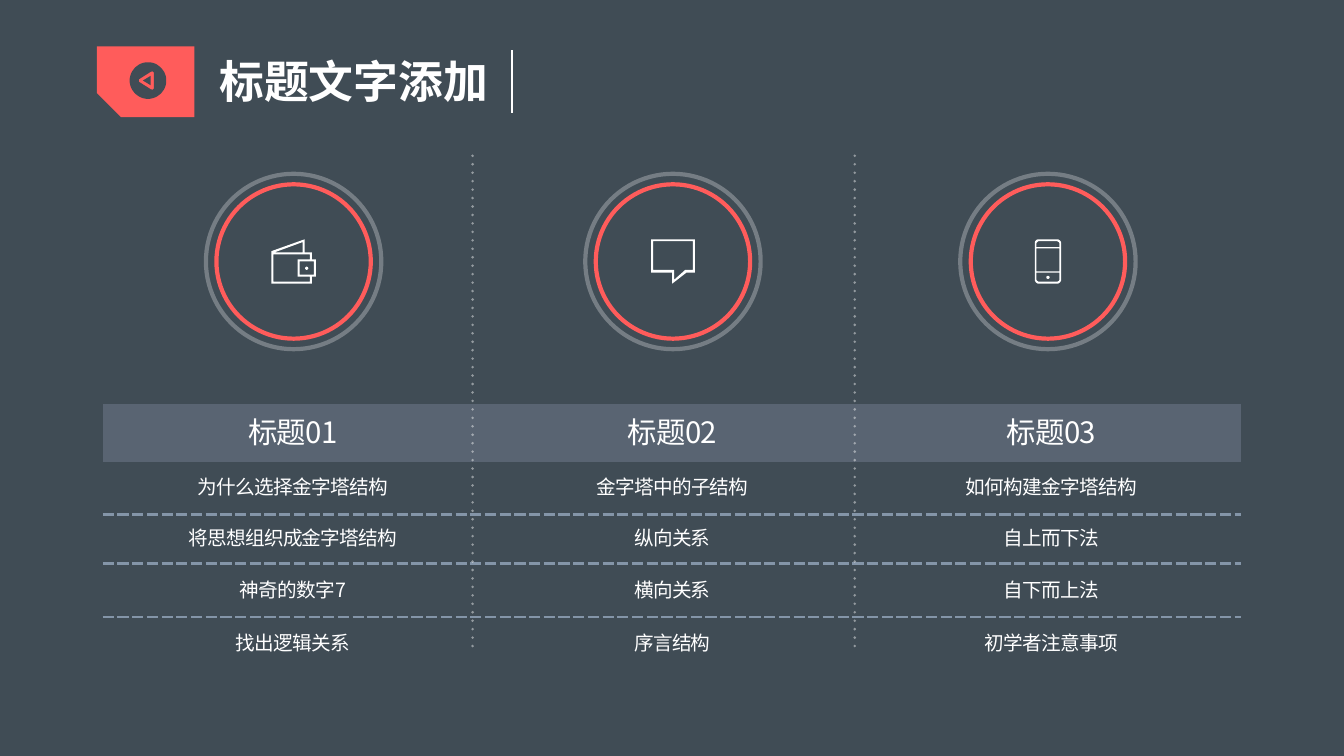
from dataclasses import dataclass
from math import cos, pi, sin

from lxml import etree
from pptx import Presentation
from pptx import util as u
from pptx.dml import color
from pptx.enum import shapes, text
from pptx.oxml import ns


@dataclass(frozen=True)
class Theme:
    ground: str = "404C55"
    accent: str = "FF5C5B"
    band: str = "596472"
    rule: str = "8495A8"
    ink: str = "FFFFFF"
    title_size: int = 32
    head_size: int = 21
    body_size: int = 14
    latin: str = "Arial"
    east: str = "Noto Sans CJK SC"


THEME = Theme()
UNIT = u.Cm(0.01)  # icon coordinates are hundredths of a centimetre

COLUMNS = [
    ("标题01", "为什么选择金字塔结构", "将思想组织成金字塔结构", "神奇的数字7", "找出逻辑关系"),
    ("标题02", "金字塔中的子结构", "纵向关系", "横向关系", "序言结构"),
    ("标题03", "如何构建金字塔结构", "自上而下法", "自下而上法", "初学者注意事项"),
]


# Basic helpers
def rgb(value):
    return color.RGBColor.from_string(value)


def add_xml(parent, tag, **attributes):
    return etree.SubElement(parent, ns.qn(tag), attributes)


def set_alpha(line, percent):
    tint = line.fill._xPr.find(".//" + ns.qn("a:srgbClr"))
    add_xml(tint, "a:alpha", val=str(percent * 1000))


def write(frame, words, size, font=THEME.east, bold=None, spacing=None,
          align=None, leading=None):
    para = frame.paragraphs[0]
    para.alignment = align
    para.line_spacing = leading
    span = para.add_run()
    span.text = words
    span.font.size = u.Pt(size)
    span.font.bold = bold
    span.font.name = font
    span.font.color.rgb = rgb(THEME.ink)
    props = span.font._element
    add_xml(props, "a:ea", typeface=THEME.east)
    if spacing:
        props.set("spc", str(round(spacing * 100)))


def add_rule(page, x, start, end, width):
    rule = page.shapes.add_connector(shapes.MSO_CONNECTOR.STRAIGHT, x, start, x, end)
    rule.line.color.rgb = rgb(THEME.ink)
    rule.line.width = u.Pt(width)
    add_xml(rule._element.spPr, "a:effectLst")
    return rule


def add_circle(page, x, y, diameter, tint, opacity=None):
    circle = page.shapes.add_shape(shapes.MSO_SHAPE.OVAL, x - diameter // 2,
                                   y - diameter // 2, diameter, diameter)
    circle.shadow.inherit = False
    circle.fill.background()
    circle.line.color.rgb = rgb(tint)
    circle.line.width = u.Pt(3)
    if opacity:
        set_alpha(circle.line, opacity)


# Icon outlines: each icon is (width, height, contours)
def arc(x, y, radius, start=0, turn=2, steps=24):
    angles = [(start + turn * i / steps) * pi for i in range(steps + 1)]
    return [(x + radius * cos(a), y + radius * sin(a)) for a in angles]


def panel(left, top, right, bottom, upper=0, lower=0):
    """Rectangle with its own radius for the upper and the lower corners."""
    corners = [(right - lower, bottom - lower, lower), (left + lower, bottom - lower, lower),
               (left + upper, top + upper, upper), (right - upper, top + upper, upper)]
    return [point for i, (x, y, radius) in enumerate(corners)
            for point in (arc(x, y, radius, i / 2, 0.5, 6) if radius else [(x, y)])]


WALLET = (112, 112, [
    [(102, 51), (102, 33), (84, 33), (84, 0), (0, 30), (0, 112), (102, 112),
     (102, 94), (112, 94), (112, 51)],
    [(79, 7), (79, 33), (8, 33)],
    [(97, 107), (5, 107), (5, 38), (97, 38), (97, 51), (66, 51), (66, 94), (97, 94)],
    panel(71, 56, 107, 89),
    arc(89, 73, 4),
])
SPEECH = (110, 112, [
    [(0, 0), (0, 84), (53, 84), (53, 112), (89, 84), (110, 84), (110, 0)],
    [(5, 5), (5, 77), (58, 77), (58, 102), (86, 77), (105, 77), (105, 5)],
])
PHONE = (66, 112, [
    panel(0, 0, 66, 112, 11, 11),
    panel(4, 5, 62, 20, upper=7),
    panel(4, 23, 62, 81),
    panel(4, 84, 62, 107, lower=7),
    arc(33, 96, 4),
])
BACK = (92, 92, [
    arc(46, 46, 46, steps=60),
    [(58, 23), (61, 26), (61, 66), (58, 69), (53, 68), (23, 49), (23, 43), (53, 24)],
    [(53, 34), (53, 58), (33, 46)],
])


def add_icon(page, icon, x, y, tint):
    width, height, contours = icon
    first, *others = contours
    builder = page.shapes.build_freeform(*first[0], scale=float(UNIT))
    builder.add_line_segments(first[1:], close=True)
    for contour in others:
        builder.move_to(*contour[0])
        builder.add_line_segments(contour[1:], close=True)
    shape = builder.convert_to_shape(x - width * UNIT // 2, y - height * UNIT // 2)
    shape.shadow.inherit = False
    shape.fill.solid()
    shape.fill.fore_color.rgb = rgb(tint)
    shape.line.fill.background()


# Header: tag, back badge, title and closing rule
def add_header(page, left, top):
    width, height = u.Cm(2.46), u.Cm(1.78)
    tag = page.shapes.add_shape(shapes.MSO_SHAPE.SNIP_1_RECTANGLE, left, top, width, height)
    tag.rotation = 180
    tag.adjustments[0] = 0.342
    tag.shadow.inherit = False
    tag.fill.solid()
    tag.fill.fore_color.rgb = rgb(THEME.accent)
    tag.line.fill.background()
    add_rule(page, left + u.Cm(10.46), top + u.Cm(0.1), top + u.Cm(1.67), 1.5)
    box = page.shapes.add_textbox(left + u.Cm(2.84), top + u.Cm(0.07), u.Cm(7.34), u.Cm(1.63))
    box.text_frame.word_wrap = False
    write(box.text_frame, "标题文字添加", THEME.title_size, font=THEME.latin, bold=True)
    add_icon(page, BACK, left + u.Cm(1.29), top + u.Cm(0.86), THEME.ground)


# Table with dashed rules between the body rows
def add_topics(page, left, top):
    widths = [u.Cm(9.58), u.Cm(9.55), u.Cm(9.55)]
    heights = [u.Cm(h) for h in (1.45, 1.32, 1.24, 1.35, 1.35)]
    frame = page.shapes.add_table(len(heights), len(widths), left, top,
                                  sum(widths), sum(heights))
    table = frame.table
    table.first_row = table.horz_banding = False
    style = table._tbl.tblPr.find(ns.qn("a:tableStyleId"))
    style.text = "{2D5ABB26-0587-4C30-8999-92F81FD0307C}"  # no style, no grid
    for row, height in zip(table.rows, heights):
        row.height = height
    for c, (width, entries) in enumerate(zip(widths, COLUMNS)):
        table.columns[c].width = width
        for r, words in enumerate(entries):
            fill_cell(table.cell(r, c), words, head=r == 0,
                      ruled=0 < r < len(entries) - 1)


def fill_cell(cell, words, head, ruled):
    cell.vertical_anchor = text.MSO_ANCHOR.MIDDLE
    cell.margin_left = cell.margin_right = cell.margin_top = cell.margin_bottom = u.Cm(0.08)
    write(cell.text_frame, words, THEME.head_size if head else THEME.body_size,
          spacing=-0.8 if head else -0.5, align=text.PP_ALIGN.CENTER, leading=0.8)
    if ruled:
        border = add_xml(cell._tc.get_or_add_tcPr(), "a:lnB", w=str(u.Pt(2)))
        add_xml(add_xml(border, "a:solidFill"), "a:srgbClr", val=THEME.rule)
        add_xml(border, "a:prstDash", val="dash")
    if head:
        cell.fill.solid()
        cell.fill.fore_color.rgb = rgb(THEME.band)
    else:
        cell.fill.background()


# Dotted column divider
def add_divider(page, x, top, bottom):
    divider = add_rule(page, x, bottom, top, 2)
    set_alpha(divider.line, 44)
    line = divider.line._get_or_add_ln()
    line.set("cap", "rnd")
    add_xml(add_xml(line, "a:custDash"), "a:ds", d="100000", sp="200000")


# Double ring with an icon in its centre
def add_emblem(page, icon, x, y):
    add_circle(page, x, y, u.Cm(3.89), THEME.accent)
    add_icon(page, icon, x, y, THEME.ink)
    add_circle(page, x, y, u.Cm(4.42), THEME.ink, opacity=27)


def main():
    deck = Presentation()
    deck.slide_width, deck.slide_height = u.Cm(33.87), u.Cm(19.05)
    page = deck.slides.add_slide(deck.slide_layouts[6])
    page.background.fill.solid()
    page.background.fill.fore_color.rgb = rgb(THEME.ground)
    add_topics(page, u.Cm(2.59), u.Cm(10.19))
    for x in (11.91, 21.54):
        add_divider(page, u.Cm(x), u.Cm(3.86), u.Cm(16.28))
    for icon, x in ((WALLET, 7.4), (PHONE, 26.41), (SPEECH, 16.96)):
        add_emblem(page, icon, u.Cm(x), u.Cm(6.59))
    add_header(page, u.Cm(2.44), u.Cm(1.17))
    deck.save("out.pptx")


if __name__ == "__main__":
    main()
